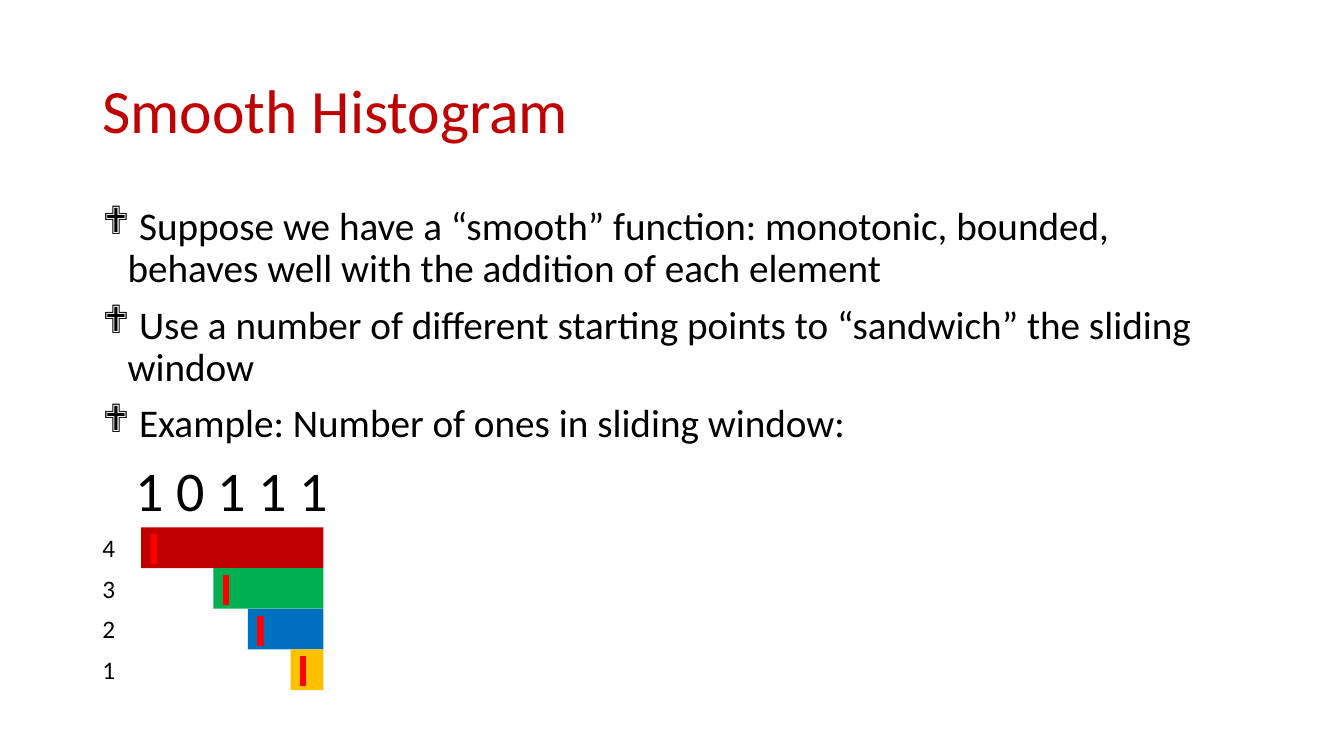
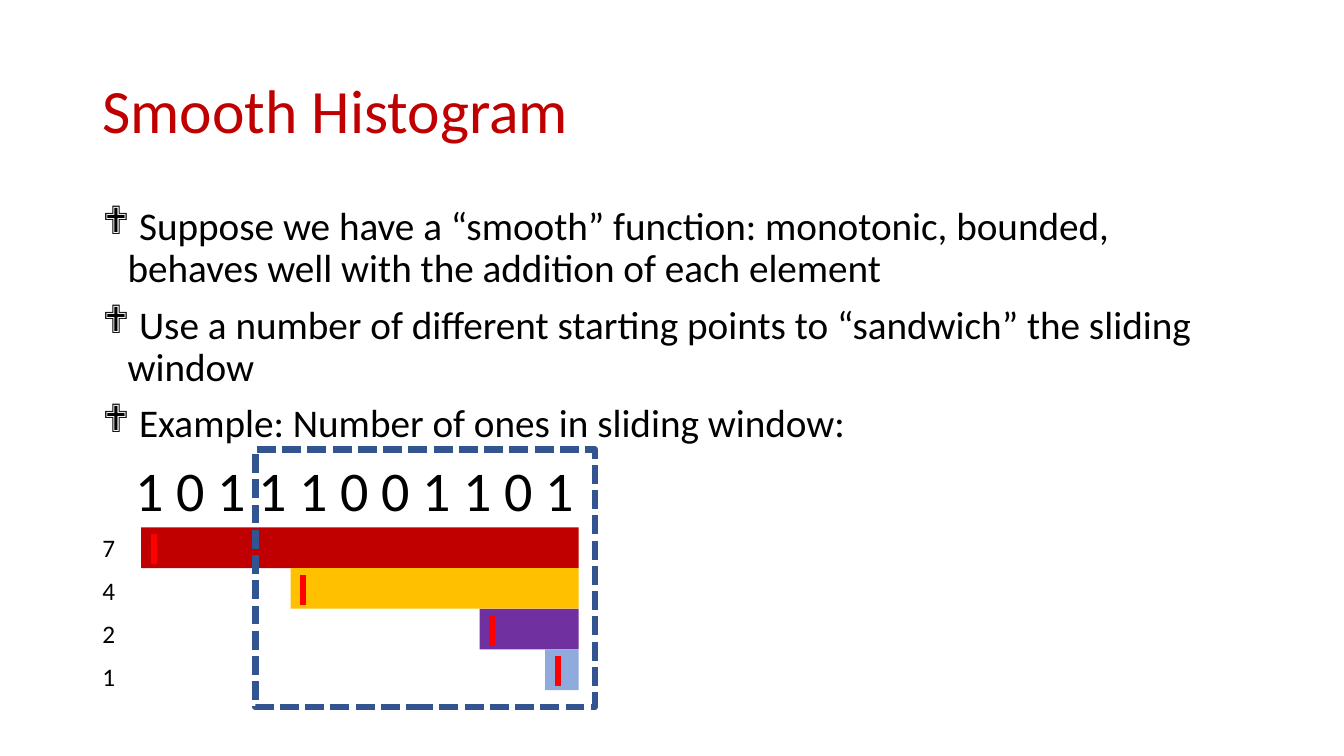
from lxml.etree import SubElement
from pptx import Presentation
from pptx.dml.color import RGBColor
from pptx.enum.dml import MSO_LINE
from pptx.enum.shapes import MSO_CONNECTOR, MSO_SHAPE
from pptx.enum.text import MSO_ANCHOR, MSO_AUTO_SIZE, PP_ALIGN
from pptx.oxml.ns import qn
from pptx.util import Inches, Pt

CELL = Inches(7.5) // 90
WIDE, HIGH = 160, 90
FONT = "Calibri"

BLACK = RGBColor(0x00, 0x00, 0x00)
CRIMSON = RGBColor(0xC0, 0x00, 0x00)
RED = RGBColor(0xFF, 0x00, 0x00)
GREEN = RGBColor(0x00, 0xB0, 0x50)
BLUE = RGBColor(0x00, 0x70, 0xC0)
GOLD = RGBColor(0xFF, 0xC0, 0x00)
PURPLE = RGBColor(0x70, 0x30, 0xA0)
SKY = RGBColor(0x8F, 0xAA, 0xDC)
NAVY = RGBColor(0x32, 0x54, 0x91)

TITLE = "Smooth Histogram"
POINTS = (
    " Suppose we have a “smooth” function: monotonic, bounded, "
    "behaves well with the addition of each element",
    " Use a number of different starting points to “sandwich” the sliding window",
    " Example: Number of ones in sliding window:",
)
TITLE_BOX = (11, 4.8, 138, 17.4)
BODY_BOX = (11, 24, 138, 34.3)
CHART_BOX = (11, 53.6, 60, 30)
FRAME_BOX = (30.4, 53.5, 40.4, 30.7)
DIGIT_ROW, BAR_ROW = 9.2, 4.84


def cells(*counts):
    """Turn grid cells into slide lengths."""
    return [round(count * CELL) for count in counts]


def place(shape, box):
    """Move a placeholder to a box of the grid."""
    shape.left, shape.top, shape.width, shape.height = cells(*box)


def style(para, size, color=BLACK):
    """Set the font of a whole paragraph."""
    para.font.name = FONT
    para.font.size = Pt(size)
    para.font.color.rgb = color


def head(slide, box):
    """Fill the title placeholder."""
    title = slide.shapes.title
    place(title, box)
    title.text_frame.text = TITLE
    title.text_frame.vertical_anchor = MSO_ANCHOR.MIDDLE
    para = title.text_frame.paragraphs[0]
    para.alignment = PP_ALIGN.LEFT
    para.line_spacing = 0.9
    style(para, 44, CRIMSON)


def points(slide, box):
    """Fill the body placeholder with the bulleted list."""
    body = slide.placeholders[1]
    place(body, box)
    frame = body.text_frame
    frame.text = "\n".join(POINTS)
    frame.auto_size = MSO_AUTO_SIZE.NONE
    for index, para in enumerate(frame.paragraphs):
        para.line_spacing = 0.9
        para.space_before = Pt(10 if index else 0)
        props = para._p.get_or_add_pPr()
        props.set("marL", str(Inches(0.25)))
        props.set("indent", str(-Inches(0.25)))
        SubElement(props, qn("a:buFont"), typeface="Wingdings")
        SubElement(props, qn("a:buChar"), char="❖")
        style(para, 28)


def label(slide, text, box, size):
    """Write one line of free text."""
    frame = slide.shapes.add_textbox(*cells(*box)).text_frame
    frame.word_wrap = False
    frame.text = text
    style(frame.paragraphs[0], size)


def block(slide, box):
    """Add a bare rectangle."""
    shape = slide.shapes.add_shape(MSO_SHAPE.RECTANGLE, *cells(*box))
    shape.shadow.inherit = False
    return shape


def tick(slide, left, top):
    """Mark a starting point with a short upright line."""
    line = slide.shapes.add_connector(
        MSO_CONNECTOR.STRAIGHT, *cells(left, top, left, top + 3.6))
    line.line.color.rgb = RED
    line.line.width = Pt(4.5)
    SubElement(line._element.spPr, qn("a:effectLst"))


def chart(slide, box, digits, span, end, bars, step):
    """Draw the digits with the counted bars below them."""
    left, top = box[:2]
    label(slide, digits, (left + 4, top, span, DIGIT_ROW), 40)
    top += DIGIT_ROW
    for row, (count, color, start) in enumerate(bars):
        level = top + row * BAR_ROW
        bar = block(slide, (left + start, level, end - start, BAR_ROW))
        bar.fill.solid()
        bar.fill.fore_color.rgb = color
        bar.line.fill.background()
        tick(slide, left + start + 1.5, level + 0.8)
        label(slide, count, (left, top + row * step, 4, BAR_ROW), 18)


def window(slide, box):
    """Outline the sliding window."""
    frame = block(slide, box)
    frame.fill.background()
    frame.line.color.rgb = NAVY
    frame.line.width = Pt(4.5)
    frame.line.dash_style = MSO_LINE.SQUARE_DOT


def page(deck):
    """Add a slide with the shared title and list."""
    slide = deck.slides.add_slide(deck.slide_layouts[1])
    head(slide, TITLE_BOX)
    points(slide, BODY_BOX)
    return slide


def main():
    """Build and save both slides."""
    deck = Presentation()
    deck.slide_width, deck.slide_height = cells(WIDE, HIGH)

    first = page(deck)
    chart(first, CHART_BOX, "1 0 1 1 1", 25.6, 27.5, (
        ("4", CRIMSON, 5.8), ("3", GREEN, 14.4),
        ("2", BLUE, 18.5), ("1", GOLD, 23.6)), BAR_ROW)

    second = page(deck)
    chart(second, CHART_BOX, "1 0 1 1 1 0 0 1 1 0 1", 55.1, 57.9, (
        ("7", CRIMSON, 5.8), ("4", GOLD, 23.6),
        ("2", PURPLE, 46.1), ("1", SKY, 53.9)), 5.12)
    window(second, FRAME_BOX)

    deck.save("out.pptx")


if __name__ == "__main__":
    main()
